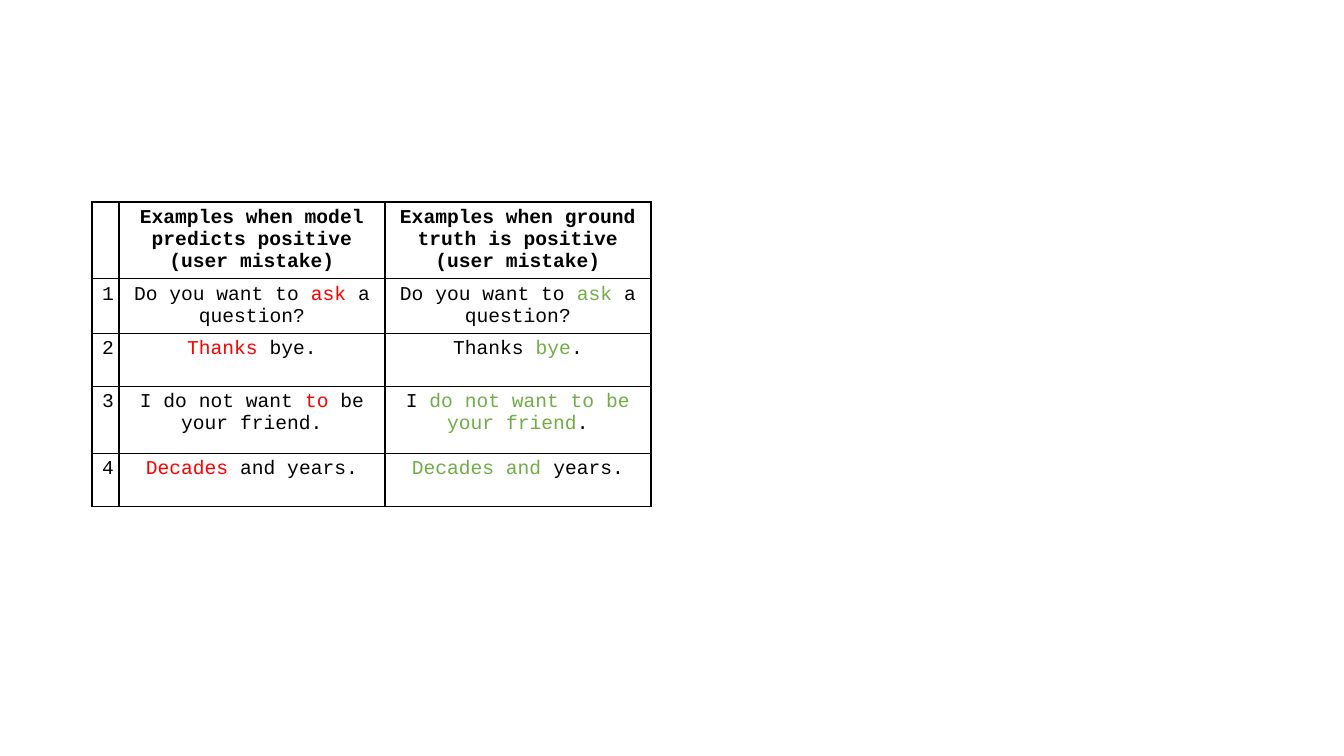
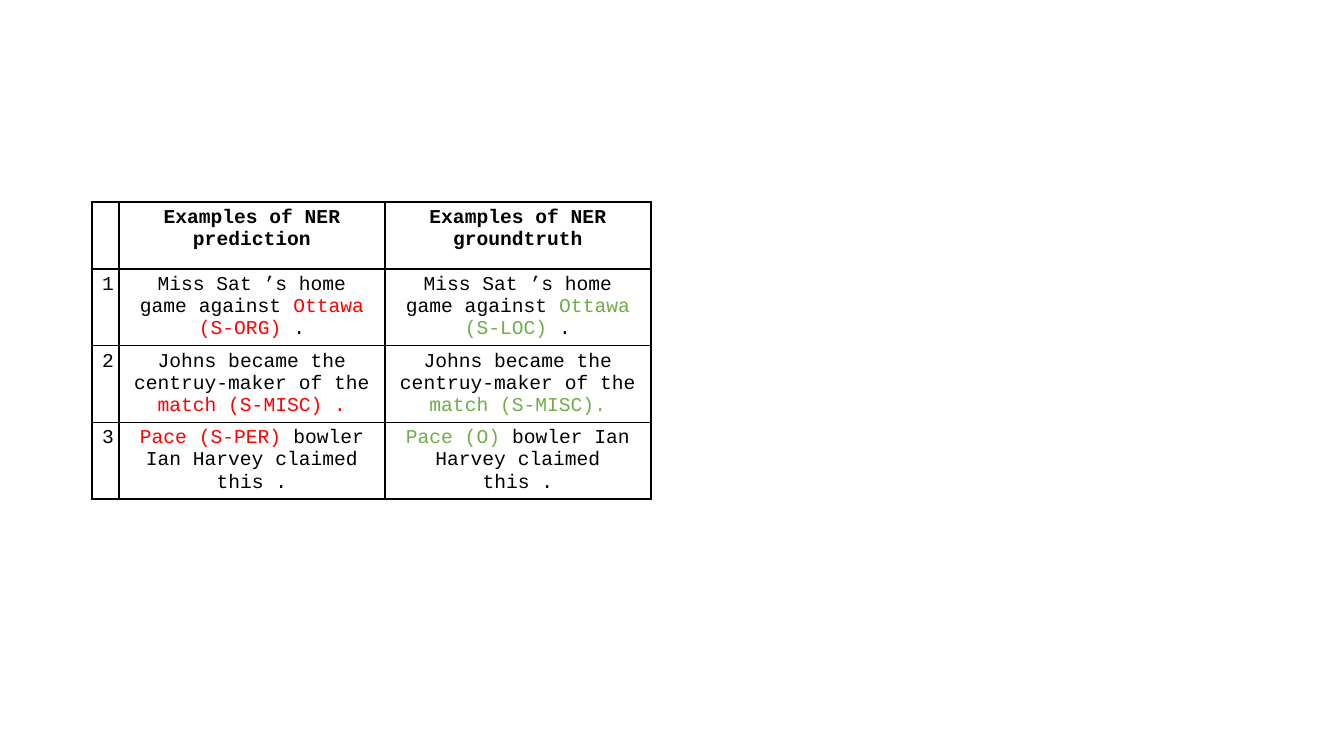
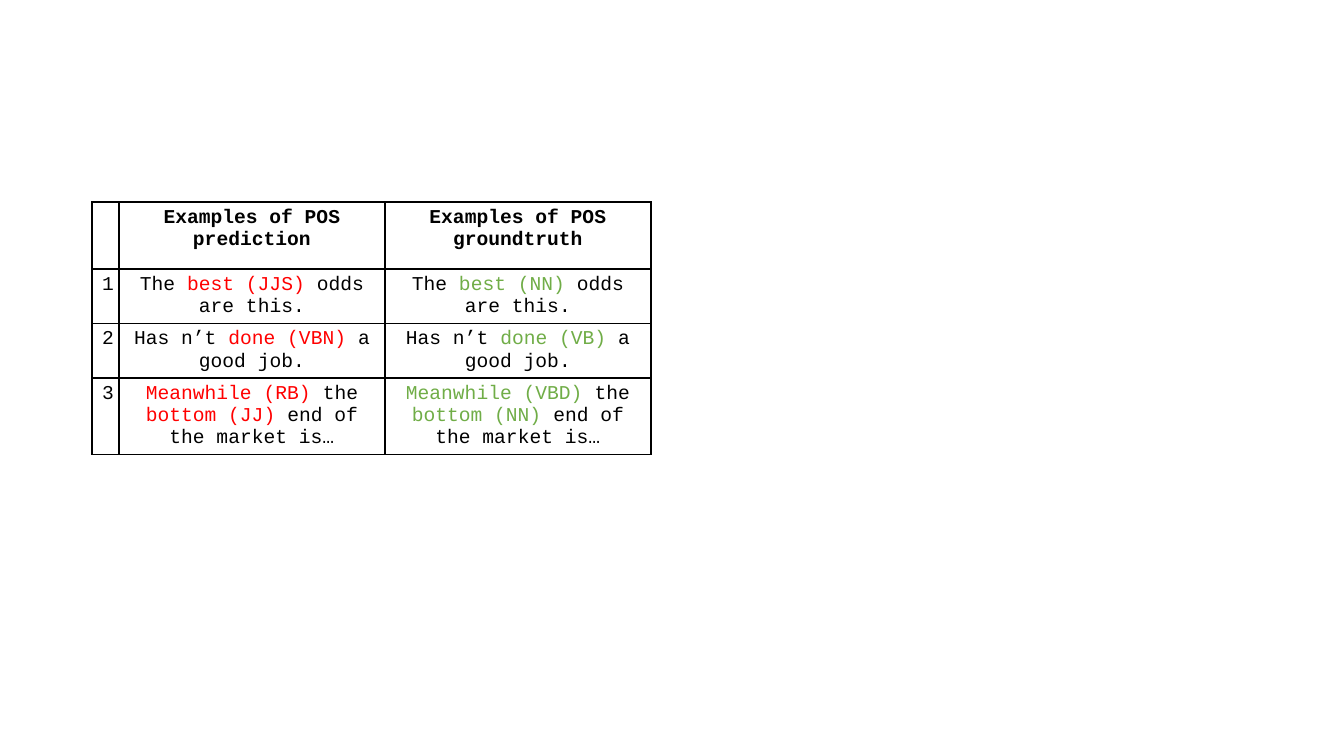
import lxml.etree
import pptx
import pptx.dml.color
import pptx.enum.text
import pptx.oxml.ns
import pptx.util

MARK = "|"
TABLES = [
    {
        "heads": ("Examples when model predicts positive (user mistake)",
                  "Examples when ground truth is positive (user mistake)"),
        "pairs": [
            ("Do you want to |ask |a question?", "Do you want to |ask |a question?"),
            ("|Thanks |bye.", "Thanks |bye|."),
            ("I do not want |to |be your friend.", "I |do not want to be your friend|."),
            ("|Decades |and years.", "|Decades and |years."),
        ],
    },
    {
        "heads": ("Examples of NER prediction", "Examples of NER groundtruth"),
        "pairs": [
            ("Miss Sat ’s home game against |Ottawa (S-ORG) |.",
             "Miss Sat ’s home game against |Ottawa (S-LOC) |."),
            ("Johns became the centruy-maker of the |match (S-MISC) .",
             "Johns became the centruy-maker of the |match (S-MISC)."),
            ("|Pace (S-PER) |bowler Ian Harvey claimed this .",
             "|Pace (O) |bowler Ian Harvey claimed this ."),
        ],
    },
    {
        "heads": ("Examples of POS prediction", "Examples of POS groundtruth"),
        "pairs": [
            ("The |best (JJS) |odds are this.", "The |best (NN) |odds are this."),
            ("Has n’t |done (VBN) |a good job.", "Has n’t |done (VB) |a good job."),
            ("|Meanwhile (RB) |the |bottom (JJ) |end of the market is…",
             "|Meanwhile (VBD) |the |bottom (NN) |end of the market is…"),
        ],
    },
]


class Theme:
    ink = "000000"
    marks = ("000000", "FF0000", "70AD47")
    font = "Courier New"
    size = 14
    line = 1


WIDE, HIGH = 1344, 756
LEFT, TOP = 92, 202
COLS = (27, 266, 266)
SHORT, TALL = 53, 67
TALL_ROWS = (0, 3)


def px(count):
    return pptx.util.Emu(round(count * 914400 / 100.8))


def border(cell):
    props = cell._tc.get_or_add_tcPr()
    name = pptx.oxml.ns.qn
    for side in ("a:lnL", "a:lnR", "a:lnT", "a:lnB"):
        line = lxml.etree.SubElement(props, name(side), w=str(pptx.util.Pt(Theme.line)))
        fill = lxml.etree.SubElement(line, name("a:solidFill"))
        lxml.etree.SubElement(fill, name("a:srgbClr"), val=Theme.ink)


def write(cell, text, mark, bold):
    para = cell.text_frame.paragraphs[0]
    para.alignment = pptx.enum.text.PP_ALIGN.CENTER
    for order, part in enumerate(text.split(MARK)):
        if part:
            run = para.add_run()
            run.text = part
            run.font.name = Theme.font
            run.font.size = pptx.util.Pt(Theme.size)
            run.font.bold = bold
            color = mark if order % 2 else Theme.ink
            run.font.color.rgb = pptx.dml.color.RGBColor.from_string(color)


def build(slide, heads, pairs):
    rows = [("", *heads)] + [(str(num), *pair) for num, pair in enumerate(pairs, 1)]
    highs = [TALL if row in TALL_ROWS else SHORT for row in range(len(rows))]
    frame = slide.shapes.add_table(len(rows), len(COLS), px(LEFT), px(TOP),
                                   px(sum(COLS)), px(sum(highs)))
    table = frame.table
    table.first_row = False
    table.horz_banding = False
    for col, wide in zip(table.columns, COLS):
        col.width = px(wide)
    for row, high in zip(table.rows, highs):
        row.height = px(high)
    for top, texts in enumerate(rows):
        for side, text in enumerate(texts):
            cell = table.cell(top, side)
            border(cell)
            cell.fill.background()
            write(cell, text, Theme.marks[side], top == 0)


deck = pptx.Presentation()
deck.slide_width, deck.slide_height = px(WIDE), px(HIGH)
for item in TABLES:
    build(deck.slides.add_slide(deck.slide_layouts[6]), **item)
deck.save("out.pptx")
